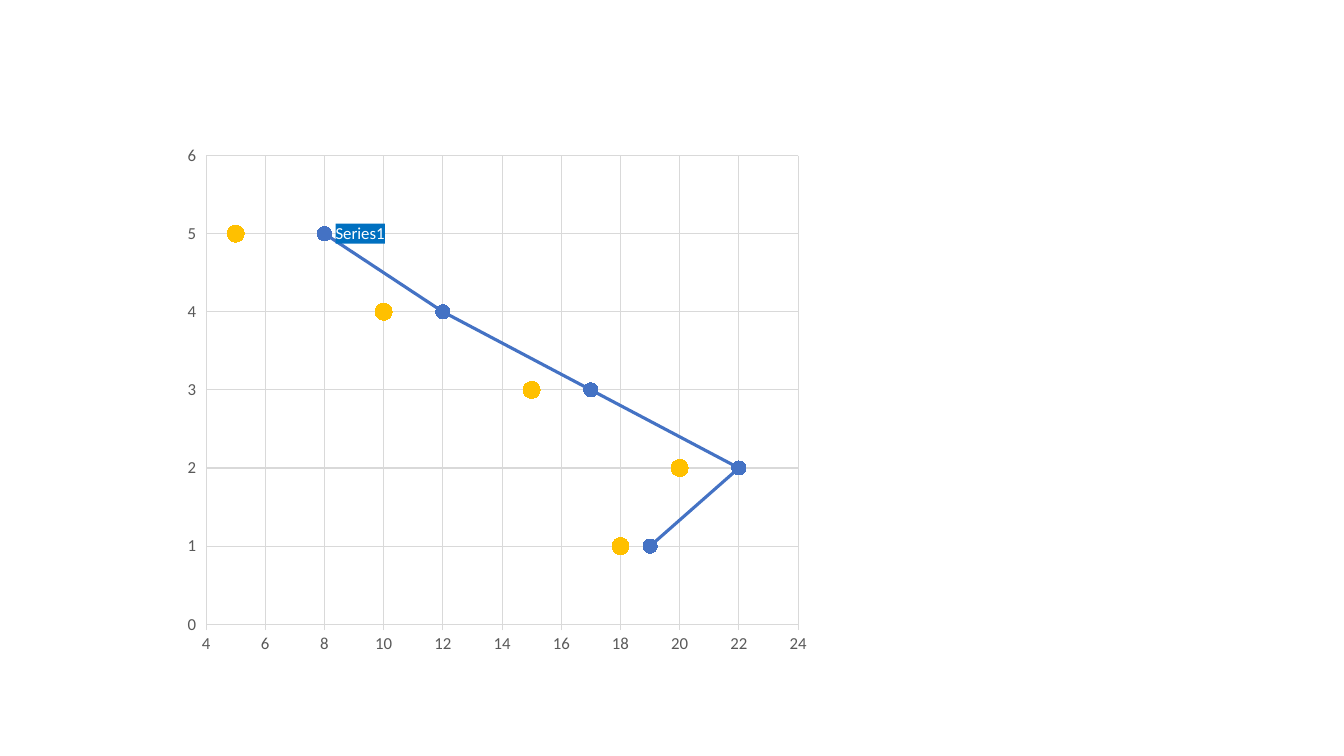
from dataclasses import dataclass

from lxml import etree
from pptx import Presentation
from pptx.chart.axis import ValueAxis
from pptx.chart.chart import Chart
from pptx.chart.data import XyChartData
from pptx.chart.series import XySeries
from pptx.dml.color import RGBColor
from pptx.enum import chart as ch
from pptx.oxml import parse_xml
from pptx.oxml.ns import nsdecls, qn
from pptx.util import Inches, Pt

FONT = "Calibri"
GRID = "D9D9D9"
AXIS_TEXT = "595959"
LABEL_FILL = "0070C0"
HEIGHTS = (5, 4, 3, 2, 1)


@dataclass
class ScatterSeries:
    name: str
    x: tuple[float, ...]
    marker: str
    size: int
    line: str | None = None


@dataclass
class AxisScale:
    low: float
    high: float
    step: float
    line: str | None = None


SERIES = (
    ScatterSeries("Series 1", (5, 10, 15, 20, 18), "FFC000", 12),
    ScatterSeries("Series 2", (8, 12, 17, 22, 19), "0070C0", 10, "4472C4"),
)
X_SCALE = AxisScale(4, 24, 2, GRID)
Y_SCALE = AxisScale(0, 6, 1)


def rgb(value: str) -> RGBColor:
    return RGBColor.from_string(value)


def style_font(font, size: float, color: str) -> None:
    font.name = FONT
    font.size = Pt(size)
    font.color.rgb = rgb(color)


def style_line(line, color: str | None, width: float) -> None:
    if color is None:
        line.fill.background()
        return
    line.color.rgb = rgb(color)
    line.width = Pt(width)


def style_axis(axis: ValueAxis, scale: AxisScale) -> None:
    axis.minimum_scale = scale.low
    axis.maximum_scale = scale.high
    axis.major_unit = scale.step
    axis.has_major_gridlines = True
    axis.major_tick_mark = ch.XL_TICK_MARK.OUTSIDE
    axis.minor_tick_mark = ch.XL_TICK_MARK.NONE
    style_line(axis.major_gridlines.format.line, GRID, 0.75)
    style_line(axis.format.line, scale.line, 0.75)
    style_font(axis.tick_labels.font, 12, AXIS_TEXT)


def style_series(series: XySeries, look: ScatterSeries) -> None:
    series.smooth = False
    style_line(series.format.line, look.line, 2.25)
    marker = series.marker
    marker.style = ch.XL_MARKER_STYLE.CIRCLE
    marker.size = look.size
    marker.format.fill.solid()
    marker.format.fill.fore_color.rgb = rgb(look.marker)
    marker.format.line.fill.background()


def label_first_point(series: XySeries, words: str) -> None:
    label = series.points[0].data_label
    tf = label.text_frame
    r = tf.paragraphs[0].add_run()
    r.text = words
    style_font(r.font, 12, "FFFFFF")
    label.position = ch.XL_LABEL_POSITION.RIGHT
    rich = tf._txBody
    rich.getparent().addnext(parse_xml(
        f'<c:spPr {nsdecls("c", "a")}><a:solidFill>'
        f'<a:srgbClr val="{LABEL_FILL}"/></a:solidFill></c:spPr>'))


def place_plot(chart: Chart, x: float, y: float, w: float, h: float) -> None:
    area = chart._chartSpace.chart.plotArea
    for old in area.findall(qn("c:layout")):
        area.remove(old)
    layout = etree.SubElement(area, qn("c:layout"))
    area.insert(0, layout)
    manual = etree.SubElement(layout, qn("c:manualLayout"))
    settings = {"layoutTarget": "inner", "xMode": "edge", "yMode": "edge",
                "x": x, "y": y, "w": w, "h": h}
    for tag, value in settings.items():
        etree.SubElement(manual, qn(f"c:{tag}")).set("val", str(value))


def main() -> None:
    prs = Presentation()
    prs.slide_width = Inches(13.33)
    prs.slide_height = Inches(7.5)
    s = prs.slides.add_slide(prs.slide_layouts[6])

    data = XyChartData()
    for look in SERIES:
        points = data.add_series(look.name)
        for x, y in zip(look.x, HEIGHTS):
            points.add_data_point(x, y)

    chart = s.shapes.add_chart(
        ch.XL_CHART_TYPE.XY_SCATTER_LINES, Inches(1.65), Inches(1.35),
        Inches(6.46), Inches(5.22), data).chart
    chart.has_legend = False
    chart.has_title = False
    style_font(chart.font, 10, "000000")
    chart.plots[0].vary_by_categories = False
    style_axis(chart.category_axis, X_SCALE)
    style_axis(chart.value_axis, Y_SCALE)
    place_plot(chart, 0.061, 0.037, 0.909, 0.891)

    for series, look in zip(chart.plots[0].series, SERIES):
        style_series(series, look)
    label_first_point(chart.plots[0].series[1], "Series1")

    prs.save("out.pptx")


if __name__ == "__main__":
    main()
